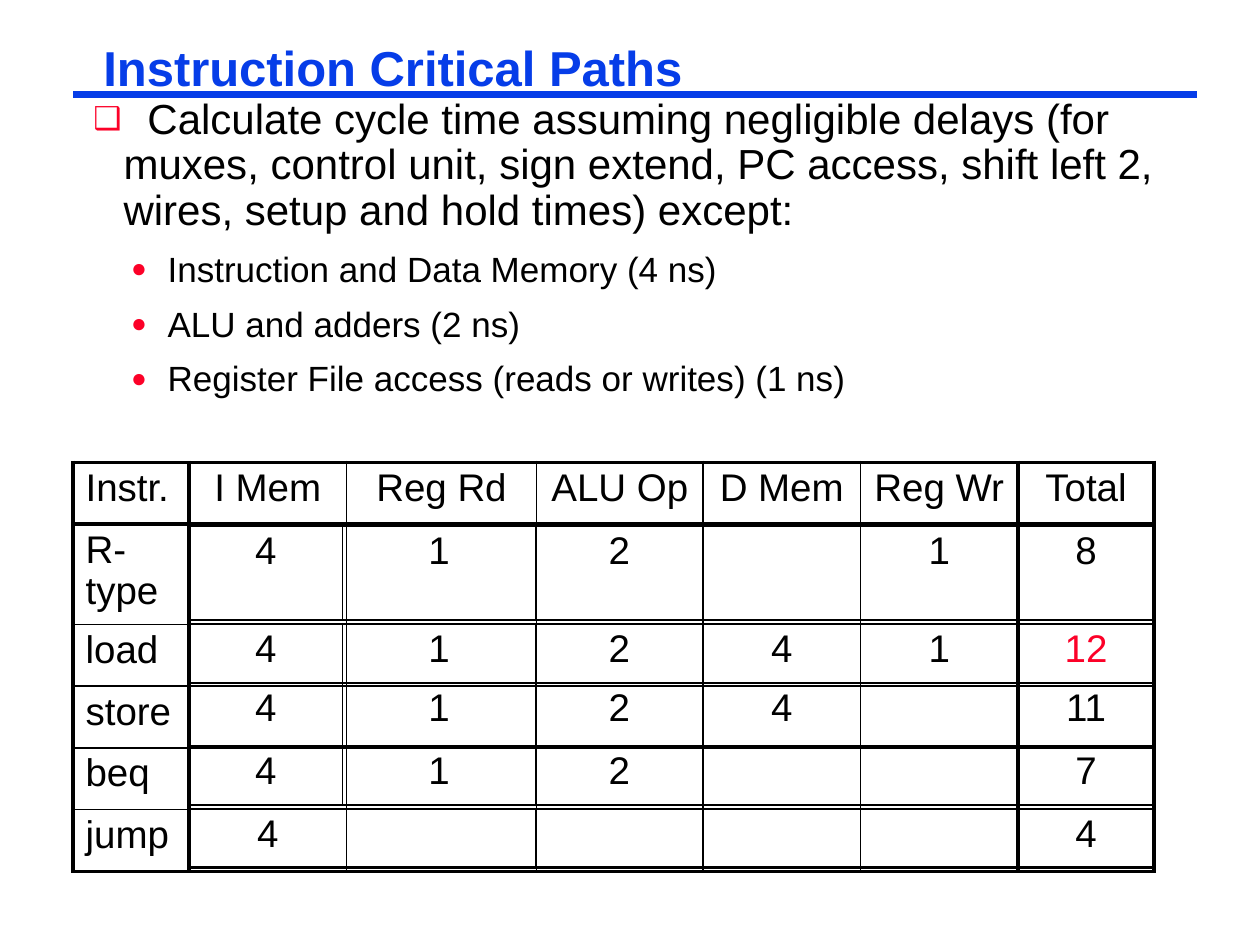
from dataclasses import dataclass

from lxml.etree import SubElement as Sub
from pptx import Presentation
from pptx.dml.color import RGBColor as Rgb
from pptx.enum.shapes import MSO_CONNECTOR as Conn
from pptx.enum.text import MSO_ANCHOR as Anchor, PP_ALIGN as Align
from pptx.oxml.ns import qn
from pptx.util import Inches, Pt


@dataclass(frozen=True)
class Theme:
    font: str = "Arial"
    blue: str = "063DE8"
    red: str = "FC0128"
    black: str = "000000"
    title: int = 28
    body: int = 24
    point: int = 20
    cell: int = 22
    thin: float = 1
    thick: float = 2.25
    rule: float = 4.5


@dataclass(frozen=True)
class Grid:
    """A table: heavy holds the numbers of its thick lines down and across."""
    left: float
    top: float
    cols: tuple
    high: float
    rows: tuple
    heavy_x: tuple
    heavy_y: tuple = ()
    label: bool = False


@dataclass(frozen=True)
class Point:
    text: str
    size: int
    mark: str
    left: float
    hang: float
    lead: float
    before: float = 0
    level: int = 0
    tab: float = 0


THEME = Theme()

HEAD = ("Instr.", "I Mem", "Reg Rd", "ALU Op", "D Mem", "Reg Wr", "Total")
NAMES = ("R-type", "load", "store", "beq", "jump")
MAIN = Grid(0.58, 3.67, (0.92, 1.25, 1.51, 1.32, 1.25, 1.25, 1.08), 0.49,
            (HEAD, *((name,) + ("",) * 6 for name in NAMES)),
            (0, 1, 6, 7), (0, 1, 6), True)

# One strip of timings lies over each instruction row
COLS = (1.22, 1.53, 1.33, 1.25, 1.25, 1.08)
LAST = (1.25, 1.5) + COLS[2:]
STRIPS = [
    Grid(1.5, top, cols, high, (vals,), (0, 5, 6), heavy)
    for top, high, cols, heavy, vals in (
        (4.17, 0.75, COLS, (0,), ("4", "1", "2", "", "1", "8")),
        (4.95, 0.47, COLS, (), ("4", "1", "2", "4", "1", "12")),
        (5.42, 0.5, COLS, (), ("4", "1", "2", "4", "", "11")),
        (5.92, 0.47, COLS, (), ("4", "1", "2", "", "", "7")),
        (6.42, 0.42, LAST, (1,), ("4", "", "", "", "", "4")),
    )
]

POINTS = [
    Point("\tCalculate cycle time assuming negligible delays (for muxes, "
          "control unit, sign extend, PC access, shift left 2, wires, setup "
          "and hold times) except:", THEME.body, "❑", 0.24, 0.24, 0.9, tab=0.43),
    *(Point(text, THEME.point, "●", 0.59, 0.29, 0.85, 11, 1) for text in (
        "Instruction and Data Memory (4 ns)",
        "ALU and adders (2 ns)",
        "Register File access (reads or writes) (1 ns)")),
]


def write(para, text: str, *, size: int, color: str = THEME.black,
          bold: bool = False, align=Align.LEFT, lead: float = 1,
          before: float = 0) -> None:
    """Put formatted text in a paragraph."""
    para.text = text
    para.alignment = align
    para.line_spacing = lead
    para.space_before = Pt(before)
    font = para.font
    font.name, font.size, font.bold = THEME.font, Pt(size), bold
    font.color.rgb = Rgb.from_string(color)


def set_mark(para, item: Point) -> None:
    """Add the bullet, its indent and its tab stop."""
    props = para._p.get_or_add_pPr()
    props.set("marL", str(Inches(item.left)))
    props.set("indent", str(-Inches(item.hang)))
    Sub(Sub(props, qn("a:buClr")), qn("a:srgbClr"), val=THEME.red)
    Sub(props, qn("a:buSzPct"), val="75000")
    Sub(props, qn("a:buFont"), typeface=THEME.font)
    Sub(props, qn("a:buChar"), char=item.mark)
    if item.tab:
        Sub(Sub(props, qn("a:tabLst")), qn("a:tab"),
            pos=str(Inches(item.tab)), algn="l")


def set_edge(cell, side: str, width: float) -> None:
    line = Sub(cell._tc.get_or_add_tcPr(), qn("a:ln" + side), w=str(Pt(width)))
    Sub(Sub(line, qn("a:solidFill")), qn("a:srgbClr"), val=THEME.black)


def draw_grid(slide, grid: Grid) -> None:
    count = len(grid.rows)
    table = slide.shapes.add_table(
        count, len(grid.cols), Inches(grid.left), Inches(grid.top),
        Inches(sum(grid.cols)), Inches(grid.high * count)).table
    table.first_row = table.horz_banding = False
    for col, wide in zip(table.columns, grid.cols):
        col.width = Inches(wide)
    for y, row in enumerate(grid.rows):
        for x, text in enumerate(row):
            cell = table.cell(y, x)
            for side, num, heavy in (("L", x, grid.heavy_x), ("R", x + 1, grid.heavy_x),
                                     ("T", y, grid.heavy_y), ("B", y + 1, grid.heavy_y)):
                set_edge(cell, side, THEME.thick if num in heavy else THEME.thin)
            cell.fill.background()
            write(cell.text_frame.paragraphs[0], text, size=THEME.cell, lead=0.95,
                  color=THEME.red if text == "12" else THEME.black,
                  align=Align.LEFT if grid.label and x == 0 else Align.CENTER)


def set_frame(shape) -> None:
    frame = shape.text_frame
    frame.word_wrap = True
    frame.vertical_anchor = Anchor.TOP
    frame.margin_left = frame.margin_right = Inches(0.07)
    frame.margin_top = frame.margin_bottom = Inches(0.03)


def draw_title(slide) -> None:
    title = slide.shapes.title
    title.left, title.top = Inches(0.75), Inches(0.33)
    title.width, title.height = Inches(8.58), Inches(0.46)
    set_frame(title)
    write(title.text_frame.paragraphs[0], "Instruction Critical Paths",
          size=THEME.title, color=THEME.blue, bold=True, lead=0.87)
    rule = slide.shapes.add_connector(Conn.STRAIGHT, Inches(0.58), Inches(0.75),
                                      Inches(9.5), Inches(0.75))
    rule.line.color.rgb = Rgb.from_string(THEME.blue)
    rule.line.width = Pt(THEME.rule)
    Sub(rule._element.spPr, qn("a:effectLst"))


def draw_points(slide) -> None:
    box = slide.shapes.add_textbox(Inches(0.67), Inches(0.75), Inches(8.58), Inches(2.53))
    set_frame(box)
    frame = box.text_frame
    for num, item in enumerate(POINTS):
        para = frame.add_paragraph() if num else frame.paragraphs[0]
        para.level = item.level
        para.line_spacing = item.lead
        para.space_before = Pt(item.before)
        set_mark(para, item)
        write(para, item.text, size=item.size, lead=item.lead, before=item.before)


def main() -> None:
    deck = Presentation()
    deck.slide_width, deck.slide_height = Inches(10), Inches(7.5)
    slide = deck.slides.add_slide(deck.slide_layouts[5])
    # Title and rule, then the list, then the table with its strips
    draw_title(slide)
    draw_points(slide)
    for grid in (MAIN, *STRIPS):
        draw_grid(slide, grid)
    deck.save("out.pptx")


if __name__ == "__main__":
    main()
